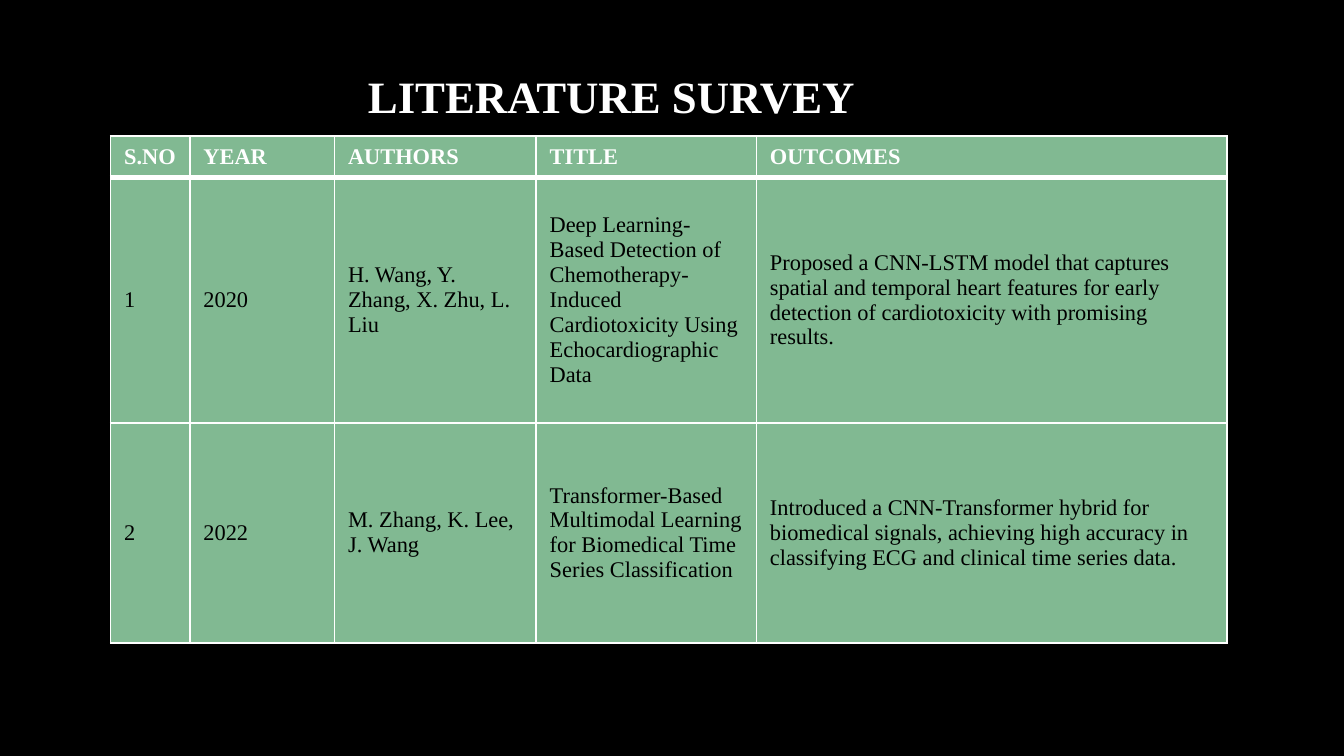
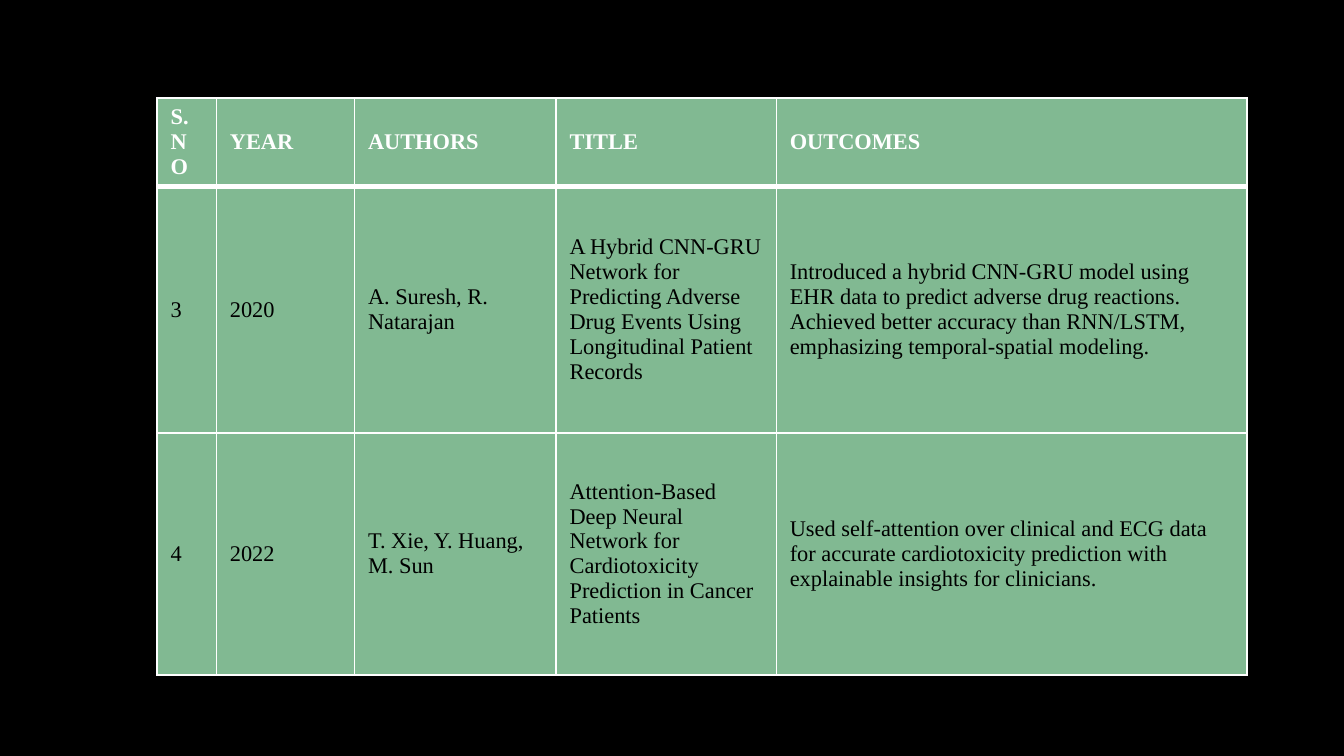
import pptx
import pptx.dml.color
import pptx.enum.text
import pptx.oxml
import pptx.oxml.ns
import pptx.util

Pt = pptx.util.Pt
FONT = "Times New Roman"
BLACK, WHITE, GREEN = "000000", "FFFFFF", "81B992"
TITLE_ONLY, BLANK = 5, 6

HEADINGS = ("S.NO", "YEAR", "AUTHORS", "TITLE", "OUTCOMES")
SHARED_COLUMNS = (108, 118, 252)  # authors, title, outcomes

FIRST_PAPERS = [
    ("1", "2020", "H. Wang, Y. Zhang, X. Zhu, L. Liu",
     "Deep Learning-Based Detection of Chemotherapy-Induced Cardiotoxicity "
     "Using Echocardiographic Data",
     "Proposed a CNN-LSTM model that captures spatial and temporal heart features "
     "for early detection of cardiotoxicity with promising results."),
    ("2", "2022", "M. Zhang, K. Lee, J. Wang",
     "Transformer-Based Multimodal Learning for Biomedical Time Series Classification",
     "Introduced a CNN-Transformer hybrid for biomedical signals, achieving high "
     "accuracy in classifying ECG and clinical time series data."),
]
SECOND_PAPERS = [
    ("3", "2020", "A. Suresh, R. Natarajan",
     "A Hybrid CNN-GRU Network for Predicting Adverse Drug Events Using "
     "Longitudinal Patient Records",
     "Introduced a hybrid CNN-GRU model using EHR data to predict adverse drug "
     "reactions. Achieved better accuracy than RNN/LSTM, emphasizing "
     "temporal-spatial modeling."),
    ("4", "2022", "T. Xie, Y. Huang, M. Sun",
     "Attention-Based Deep Neural Network for Cardiotoxicity Prediction in "
     "Cancer Patients",
     "Used self-attention over clinical and ECG data for accurate cardiotoxicity "
     "prediction with explainable insights for clinicians."),
]


def color(value):
    return pptx.dml.color.RGBColor.from_string(value)


def write(frame, text, size=12, ink=BLACK, bold=False, align="LEFT", spacing=None):
    paragraph = frame.paragraphs[0]
    paragraph.alignment = getattr(pptx.enum.text.PP_ALIGN, align)
    paragraph.line_spacing = spacing
    run = paragraph.add_run()
    run.text = text
    run.font.name, run.font.size, run.font.bold = FONT, Pt(size), bold
    run.font.color.rgb = color(ink)


def add_borders(cell, **widths):
    properties = cell._tc.get_or_add_tcPr()
    for side in "LRTB":
        width = int(Pt(widths.get(side, 1)))
        properties.append(pptx.oxml.parse_xml(
            f'<a:ln{side} {pptx.oxml.ns.nsdecls("a")} w="{width}"><a:solidFill>'
            f'<a:srgbClr val="{WHITE}"/></a:solidFill></a:ln{side}>'))


class Deck:
    def __init__(self):
        self.presentation = pptx.Presentation()
        self.presentation.slide_width = Pt(720)
        self.presentation.slide_height = Pt(405)
        background = self.presentation.slide_master.background.fill
        background.solid()
        background.fore_color.rgb = color(BLACK)
        self.slide = None

    def add_slide(self, layout):
        layouts = self.presentation.slide_layouts
        self.slide = self.presentation.slides.add_slide(layouts[layout])

    def add_title(self, text, left, top, width, height):
        title = self.slide.shapes.title
        title.left, title.top = Pt(left), Pt(top)
        title.width, title.height = Pt(width), Pt(height)
        frame = title.text_frame
        frame.word_wrap = True
        frame.auto_size = pptx.enum.text.MSO_AUTO_SIZE.NONE
        frame.vertical_anchor = pptx.enum.text.MSO_ANCHOR.BOTTOM
        frame.margin_left = frame.margin_right = Pt(7.2)
        frame.margin_top = frame.margin_bottom = Pt(7.2)
        write(frame, text, size=24, ink=WHITE, bold=True, align="CENTER", spacing=0.9)

    def add_survey(self, papers, left, top, columns, heights):
        rows = [HEADINGS, *papers]
        table = self.slide.shapes.add_table(
            len(rows), len(columns), Pt(left), Pt(top),
            Pt(sum(columns)), Pt(sum(heights))).table
        table.horz_banding = False
        for column, width in zip(table.columns, columns):
            column.width = Pt(width)
        for row, height in zip(table.rows, heights):
            row.height = Pt(height)
        for row_index, texts in enumerate(rows):
            for column_index, text in enumerate(texts):
                self.fill_cell(table.cell(row_index, column_index), text, row_index)

    def fill_cell(self, cell, text, row_index):
        is_header = row_index == 0
        # The heavy rule lies between the header and the first paper
        add_borders(cell, B=3 if is_header else 1, T=3 if row_index == 1 else 1)
        cell.fill.solid()
        cell.fill.fore_color.rgb = color(GREEN)
        cell.vertical_anchor = pptx.enum.text.MSO_ANCHOR.MIDDLE
        write(cell.text_frame, text, ink=WHITE if is_header else BLACK, bold=is_header)


def main():
    deck = Deck()

    # Survey, first part
    deck.add_slide(TITLE_ONLY)
    deck.add_title("LITERATURE SURVEY", 128, 25, 399, 48)
    deck.add_survey(FIRST_PAPERS, 59.3, 73, (42.5, 77.5, *SHARED_COLUMNS), (22, 131.5, 118))

    # Survey, second part
    deck.add_slide(BLANK)
    deck.add_survey(SECOND_PAPERS, 84.2, 52.5, (31.8, 74, *SHARED_COLUMNS), (30, 132.3, 129.5))

    deck.presentation.save("out.pptx")


if __name__ == "__main__":
    main()
